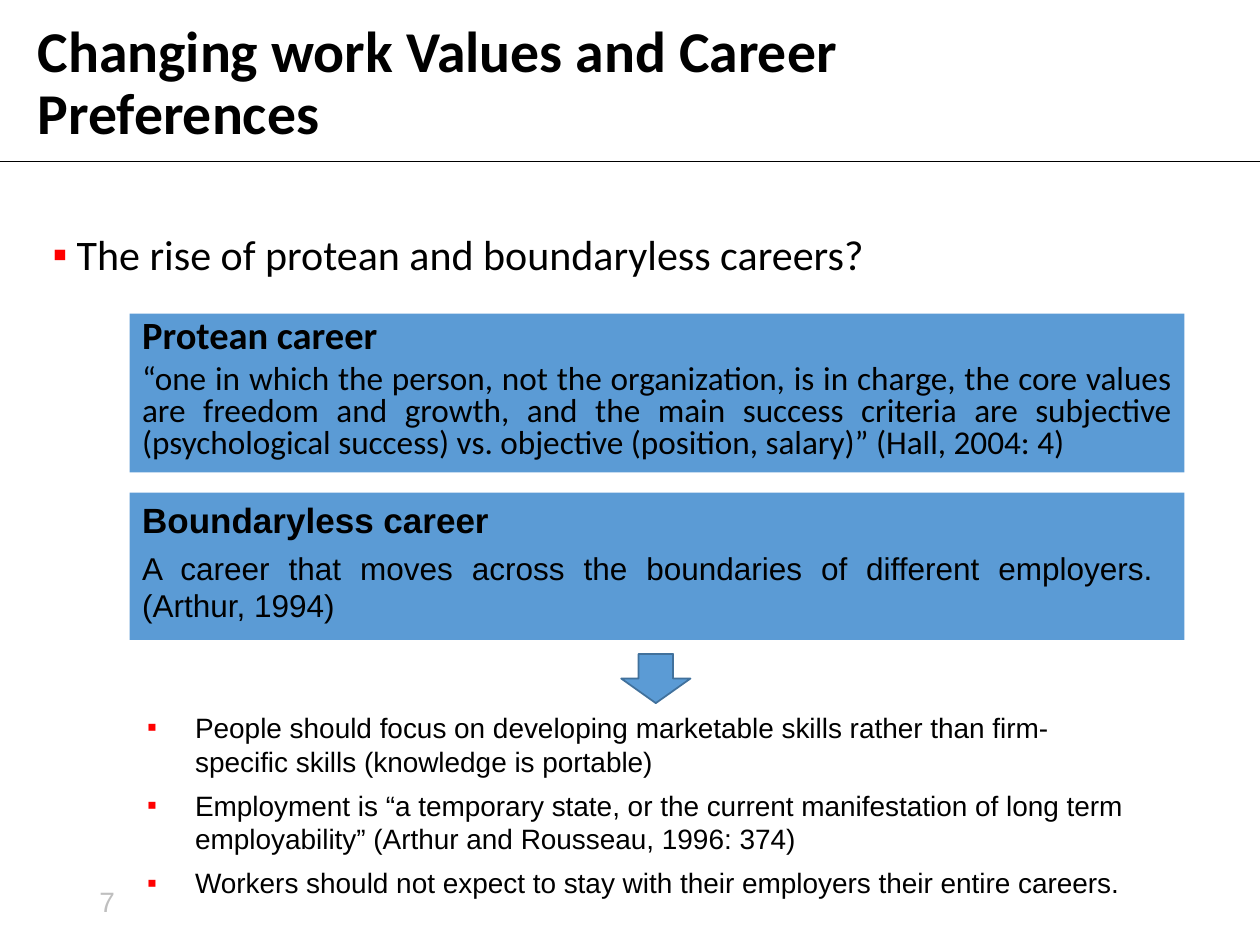
import pptx
import pptx.util
import pptx.dml.color
import pptx.enum.shapes
import pptx.enum.text
import pptx.oxml
import pptx.oxml.ns
from pptx.util import Inches

COLOURS = {"text": "000000", "panel": "5B9BD5", "edge": "41719C",
           "bullet": "FF0000", "number": "BFBFBF"}
SHAPES = pptx.enum.shapes.MSO_SHAPE
ANCHOR = pptx.enum.text.MSO_ANCHOR
ALIGN = pptx.enum.text.PP_ALIGN


def rgb(name):
    """Return the named colour."""
    return pptx.dml.color.RGBColor.from_string(COLOURS[name])


def add_bullet(paragraph, indent):
    """Give a paragraph a red square bullet with a hanging indent."""
    properties = paragraph._p.get_or_add_pPr()
    properties.set("marL", str(indent))
    properties.set("indent", str(-indent))
    namespace = pptx.oxml.ns.nsdecls("a")
    for xml in (
        f'<a:buClr {namespace}><a:srgbClr val="{COLOURS["bullet"]}"/></a:buClr>',
        f'<a:buFont {namespace} typeface="Arial"/>',
        f'<a:buChar {namespace} char="▪"/>',
    ):
        properties.append(pptx.oxml.parse_xml(xml))


def write(paragraph, words, size, face, bold=False, colour="text",
          before=0, spacing=1.0, align=ALIGN.LEFT):
    """Fill a paragraph with one formatted run."""
    paragraph.alignment = align
    paragraph.line_spacing = spacing
    paragraph.space_before = pptx.util.Pt(before)
    run = paragraph.add_run()
    run.text = words
    run.font.size = pptx.util.Pt(size)
    run.font.name = face
    run.font.bold = bold
    run.font.color.rgb = rgb(colour)


def add_text_frame(slide, box, anchor=ANCHOR.TOP):
    """Add a wrapping text box and return its frame."""
    frame = slide.shapes.add_textbox(*box).text_frame
    frame.word_wrap = True
    frame.vertical_anchor = anchor
    return frame


def add_heading(slide, left, top, width, height):
    """Place the title and the full-width rule beneath it."""
    title = add_text_frame(slide, (left, top, width, height), ANCHOR.MIDDLE)
    write(title.paragraphs[0], "Changing work Values and Career Preferences",
          33, "Calibri", bold=True, spacing=0.9)
    rule_top = Inches(1.28)
    rule = slide.shapes.add_connector(
        pptx.enum.shapes.MSO_CONNECTOR.STRAIGHT, 0, rule_top, Inches(10), rule_top)
    rule.line.color.rgb = rgb("text")
    rule.line.width = pptx.util.Pt(0.5)
    rule._element.spPr.append(pptx.oxml.parse_xml(
        f'<a:effectLst {pptx.oxml.ns.nsdecls("a")}/>'))


def add_bullets(slide, box, points, indent, size, face, before=0, spacing=1.0):
    """Place a list of bulleted points in a box."""
    frame = add_text_frame(slide, box)
    for index, point in enumerate(points):
        paragraph = frame.add_paragraph() if index else frame.paragraphs[0]
        add_bullet(paragraph, indent)
        write(paragraph, point, size, face, spacing=spacing,
              before=before if index else 0)


def add_filled_shape(slide, kind, box):
    """Add a blue shape without shadow or outline."""
    shape = slide.shapes.add_shape(kind, *box)
    shape.shadow.inherit = False
    shape.fill.solid()
    shape.fill.fore_color.rgb = rgb("panel")
    shape.line.fill.background()
    return shape


def add_career_panel(slide, box, career, definition, face, sizes, before, spacing):
    """Place a career name and its definition on a blue panel."""
    frame = add_filled_shape(slide, SHAPES.RECTANGLE, box).text_frame
    frame.word_wrap = True
    frame.vertical_anchor = ANCHOR.TOP
    write(frame.paragraphs[0], career, sizes[0], face, bold=True, spacing=spacing)
    write(frame.add_paragraph(), definition, sizes[1], face, before=before,
          spacing=spacing, align=ALIGN.JUSTIFY)


def add_down_arrow(slide, left, top, width, height):
    """Place the arrow that leads to the consequences."""
    arrow = add_filled_shape(slide, SHAPES.DOWN_ARROW, (left, top, width, height))
    arrow.line.color.rgb = rgb("edge")
    arrow.line.width = pptx.util.Pt(1)


def add_page_number(slide, left, top, width, height):
    """Place the grey page number."""
    frame = add_text_frame(slide, (left, top, width, height), ANCHOR.MIDDLE)
    write(frame.paragraphs[0], "7", 16, "Arial", colour="number")


def main():
    """Build and save the slide."""
    deck = pptx.Presentation()
    deck.slide_width, deck.slide_height = Inches(10), Inches(7.5)
    slide = deck.slides.add_slide(deck.slide_layouts[6])
    add_heading(slide, Inches(0.2), Inches(0.05), Inches(8.31), Inches(1.25))
    add_bullets(slide, (Inches(0.32), Inches(1.81), Inches(9.35), Inches(0.5)),
                ["The rise of protean and boundaryless careers?"],
                Inches(0.19), 24, "Calibri", spacing=0.9)
    add_page_number(slide, Inches(0.69), Inches(6.95), Inches(2.25), Inches(0.4))
    add_bullets(slide, (Inches(1.07), Inches(5.59), Inches(7.99), Inches(1.78)), [
        "People should focus on developing marketable skills rather than "
        "firm-specific skills (knowledge is portable)",
        "Employment is “a temporary state, or the current manifestation of "
        "long term employability” (Arthur and Rousseau, 1996: 374)",
        "Workers should not expect to stay with their employers their entire careers.",
    ], Inches(0.38), 16, "Arial", before=6)
    panel_left, panel_width = Inches(1.03), Inches(8.37)
    add_career_panel(
        slide, (panel_left, Inches(2.49), panel_width, Inches(1.26)),
        "Protean career",
        "“one in which the person, not the organization, is in charge, the core "
        "values are freedom and growth, and the main success criteria are subjective "
        "(psychological success) vs. objective (position, salary)” (Hall, 2004: 4)",
        "Calibri", (22, 19), 4.8, 0.8)
    add_career_panel(
        slide, (panel_left, Inches(3.91), panel_width, Inches(1.17)),
        "Boundaryless career",
        "A career that moves across the boundaries of different employers.  (Arthur, 1994)",
        "Arial", (20, 18), 4.5, 1.0)
    add_down_arrow(slide, Inches(4.93), Inches(5.19), Inches(0.55), Inches(0.39))
    deck.save("out.pptx")


if __name__ == "__main__":
    main()
